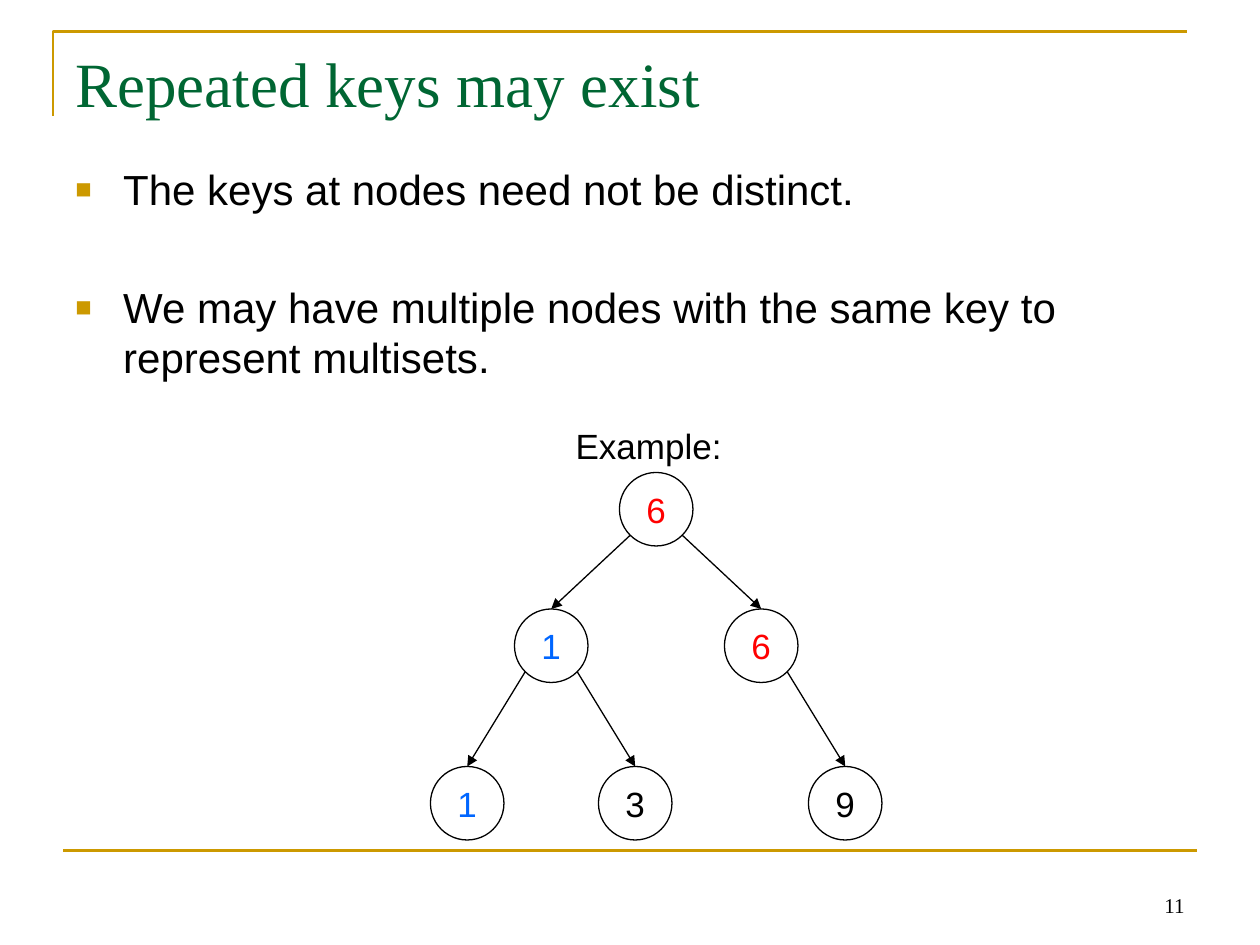
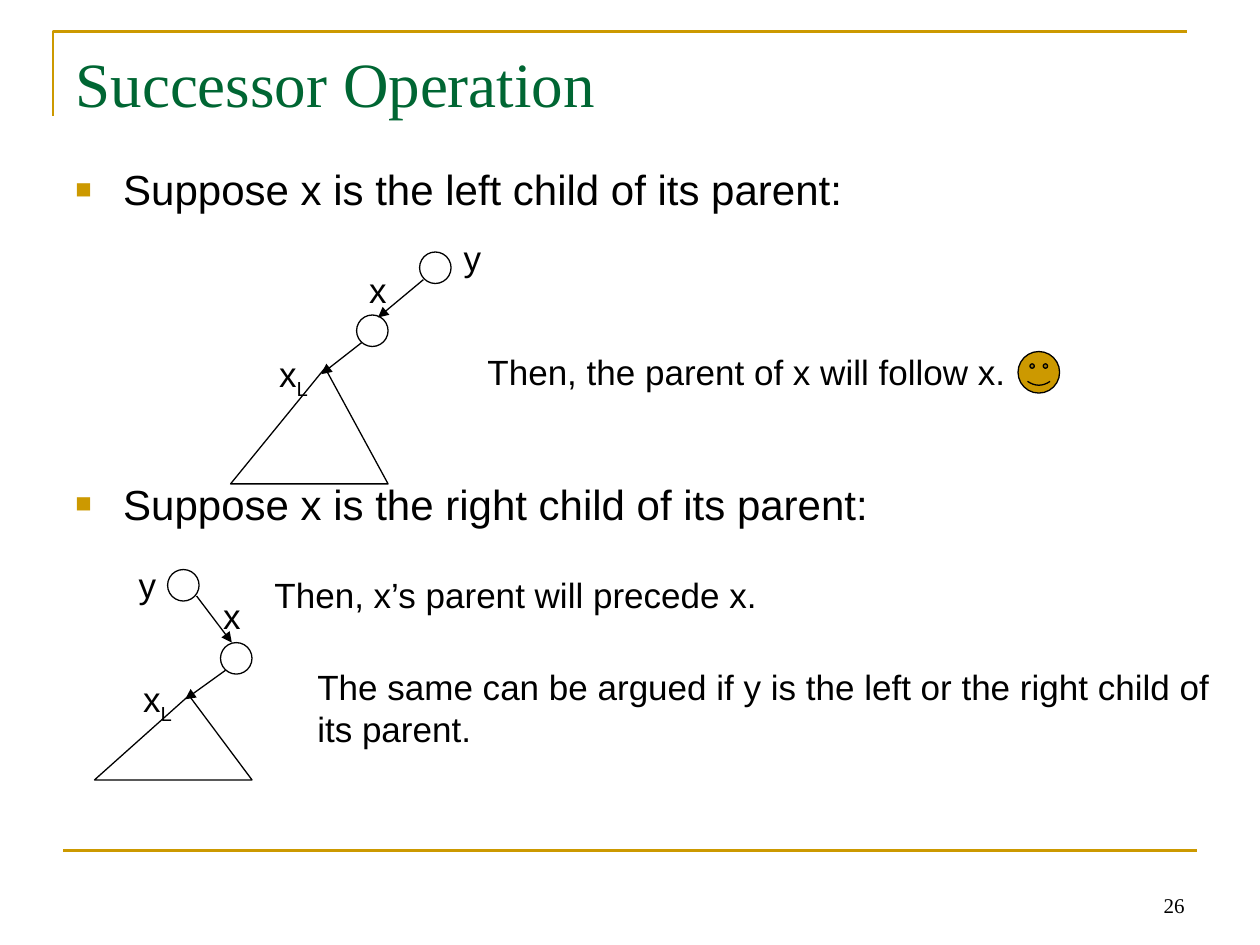
from math import sqrt

from lxml import etree
from pptx import Presentation
from pptx import util as u
from pptx.dml.color import RGBColor
from pptx.enum import shapes, text
from pptx.oxml import ns

WIDTH, HEIGHT = 10, 7.5
COLORS = {"gold": "CC9900", "green": "006633", "black": "000000",
          "red": "FF0000", "blue": "0066FF"}
SANS, SERIF = "Arial", "Times New Roman"
INDENT = 0.38
NODE = 7 / 12
DOT = 0.25

# Bullets: (text, points of space before)
REPEATED = {
    "title": "Repeated keys may exist",
    "number": "11",
    "bullets": [
        ("The keys at nodes need not be distinct.", 0),
        ("We may have multiple nodes with the same key to represent multisets.", 38.5),
    ],
}
SUCCESSOR = {
    "title": "Successor Operation",
    "number": "26",
    "bullets": [
        ("Suppose x is the left child of its parent:", 0),
        ("Suppose x is the right child of its parent:", 150.8),
    ],
}

# Tree nodes: key, colour, left and top in twelfths of an inch, parent
TREE = {
    "root": ("6", "red", 59, 45, None),
    "left": ("1", "blue", 49, 58, "root"),
    "right": ("6", "red", 69, 58, "root"),
    "left-left": ("1", "blue", 41, 73, "left"),
    "left-right": ("3", "black", 57, 73, "left"),
    "right-right": ("9", "black", 77, 73, "right"),
}

# Cases of the successor: places in inches
CASES = [
    {"dots": [(3.33, 2), (2.83, 2.5)],
     "arrows": [(3.36, 2.22, 3, 2.52), (2.87, 2.72, 2.55, 2.97)],
     "subtree": (1.83, 2.92, 0.92),
     "labels": [("y", "", 3.58, 1.83), ("x", "", 2.83, 2.08), ("x", "L", 2.11, 2.75)]},
    {"dots": [(1.33, 4.52), (1.75, 5.1)],
     "arrows": [(1.56, 4.73, 1.84, 5.1), (1.79, 5.32, 1.47, 5.55)],
     "subtree": (0.75, 5.52, 0.67),
     "labels": [("y", "", 1, 4.42), ("x", "", 1.67, 4.67), ("x", "L", 1.03, 5.33)]},
]
REMARKS = [
    ("Then, the parent of x will follow x.", 3.77, 2.73, 5.15, 0.44),
    ("Then, x’s parent will precede x.", 2.08, 4.5, 4.08, 0.43),
    ("The same can be argued if y is the left or the right child of its parent.",
     2.42, 5.23, 7.33, 0.77),
]


def color(name):
    return RGBColor.from_string(COLORS[name])


def inches(*lengths):
    return [u.Inches(length) for length in lengths]


def set_font(paragraph, size, name=SANS, tone="black"):
    font = paragraph.font
    font.size, font.name = u.Pt(size), name
    font.color.rgb = color(tone)


def outline(shape, tone="black", width=0.75, fill=None):
    shape.shadow.inherit = False
    shape.line.color.rgb = color(tone)
    shape.line.width = u.Pt(width)
    if fill:
        shape.fill.solid()
        shape.fill.fore_color.rgb = color(fill)
    else:
        shape.fill.background()
    return shape


def add_polyline(slide, points, close, **style):
    start, *rest = [inches(*point) for point in points]
    builder = slide.shapes.build_freeform(*start)
    builder.add_line_segments(rest, close=close)
    return outline(builder.convert_to_shape(), **style)


def add_line(slide, ends, tone="black", width=0.75, arrow=False):
    line = slide.shapes.add_connector(shapes.MSO_CONNECTOR.STRAIGHT, *inches(*ends))
    line.line.color.rgb = color(tone)
    line.line.width = u.Pt(width)
    if arrow:
        etree.SubElement(line.line._get_or_add_ln(), ns.qn("a:tailEnd"), type="triangle")
    etree.SubElement(line._element.spPr, ns.qn("a:effectLst"))
    return line


def add_text(slide, words, at, size=20, name=SANS, align=None, wrap=True):
    """Add a text box of one paragraph and return its frame."""
    frame = slide.shapes.add_textbox(*inches(*at)).text_frame
    frame.word_wrap = wrap
    paragraph = frame.paragraphs[0]
    paragraph.text = words
    paragraph.alignment = align
    set_font(paragraph, size, name)
    return frame


def add_bullet_mark(paragraph):
    props = paragraph._p.get_or_add_pPr()
    props.set("marL", str(u.Inches(INDENT)))
    props.set("indent", str(-u.Inches(INDENT)))
    tint = etree.SubElement(props, ns.qn("a:buClr"))
    etree.SubElement(tint, ns.qn("a:srgbClr"), val=COLORS["gold"])
    etree.SubElement(props, ns.qn("a:buSzPct"), val="65000")
    etree.SubElement(props, ns.qn("a:buFont"), typeface=SANS)
    etree.SubElement(props, ns.qn("a:buChar"), char="■")


def add_slide(deck, content):
    """Add a slide with the shared rules, title, number and bullets."""
    slide = deck.slides.add_slide(deck.slide_layouts[5])
    add_polyline(slide, [(0.42, 0.92), (0.42, 0.25), (9.42, 0.25)], False,
                 tone="gold", width=1.5)
    add_line(slide, (0.05 * WIDTH, 0.9 * HEIGHT, 0.95 * WIDTH, 0.9 * HEIGHT), "gold", 1.5)
    number = add_text(slide, content["number"], (7.17, 6.83, 2.33, 0.5), 12, SERIF,
                      text.PP_ALIGN.RIGHT)
    number.vertical_anchor = text.MSO_ANCHOR.BOTTOM

    title = slide.shapes.title
    title.left, title.top, title.width, title.height = inches(0.5, 0.3, 9, 1.25)
    title.text_frame.text = content["title"]
    title.text_frame.vertical_anchor = text.MSO_ANCHOR.TOP
    heading = title.text_frame.paragraphs[0]
    heading.alignment = text.PP_ALIGN.LEFT
    set_font(heading, 36, SERIF, "green")

    body = slide.shapes.add_textbox(*inches(0.5, 1.25, 9, 4.95)).text_frame
    body.word_wrap = True
    for i, (words, gap) in enumerate(content["bullets"]):
        bullet = body.add_paragraph() if i else body.paragraphs[0]
        bullet.text = words
        if gap:
            bullet.space_before = u.Pt(gap)
        add_bullet_mark(bullet)
        set_font(bullet, 24)
    return slide


def add_circle(slide, left, top, size):
    return outline(slide.shapes.add_shape(
        shapes.MSO_SHAPE.OVAL, *inches(left, top, size, size)))


def draw_tree(slide):
    nodes = {}
    for place, (key, tone, column, row, parent) in TREE.items():
        left, top = column / 12, row / 12
        node = nodes[place] = add_circle(slide, left, top, NODE)
        frame = node.text_frame
        frame.margin_left = frame.margin_right = 0
        frame.margin_top = frame.margin_bottom = 0
        frame.vertical_anchor = text.MSO_ANCHOR.MIDDLE
        label = frame.paragraphs[0]
        label.text = key
        label.alignment = text.PP_ALIGN.CENTER
        set_font(label, 20, tone=tone)
        if parent:
            parent_column, parent_row = TREE[parent][2:4]
            reach = NODE / 2 / sqrt(2)
            side = 1 if column > parent_column else -1
            start_x = parent_column / 12 + NODE / 2 + side * reach
            start_y = parent_row / 12 + NODE / 2 + reach
            edge = add_line(slide, (start_x, start_y, left + NODE / 2, top), arrow=True)
            edge.end_connect(node, 0)


def draw_case(slide, case):
    for dot in case["dots"]:
        add_circle(slide, *dot, DOT)
    for ends in case["arrows"]:
        add_line(slide, ends, arrow=True)
    left, top, height = case["subtree"]
    add_polyline(slide, [(left + 0.75, top), (left, top + height),
                         (left + 1.25, top + height)], True)
    for name, subscript, x, y in case["labels"]:
        width = 0.44 if subscript else 0.34
        label = add_text(slide, name, (x, y, width, 0.43),
                         align=text.PP_ALIGN.CENTER, wrap=False)
        if subscript:
            run = label.paragraphs[0].add_run()
            run.text = subscript
            run._r.get_or_add_rPr().set("baseline", "-25000")


def main():
    deck = Presentation()
    deck.slide_width, deck.slide_height = inches(WIDTH, HEIGHT)

    repeated = add_slide(deck, REPEATED)
    draw_tree(repeated)
    add_text(repeated, "Example:", (4.47, 3.32, 1.36, 0.43), wrap=False)

    successor = add_slide(deck, SUCCESSOR)
    for case in CASES:
        draw_case(successor, case)
    for words, *at in REMARKS:
        add_text(successor, words, at)
    smiley = successor.shapes.add_shape(
        shapes.MSO_SHAPE.SMILEY_FACE, *inches(8.08, 2.79, 0.33, 0.33))
    smiley.adjustments[0] = 0.05
    outline(smiley, fill="gold")

    deck.save("out.pptx")


if __name__ == "__main__":
    main()
